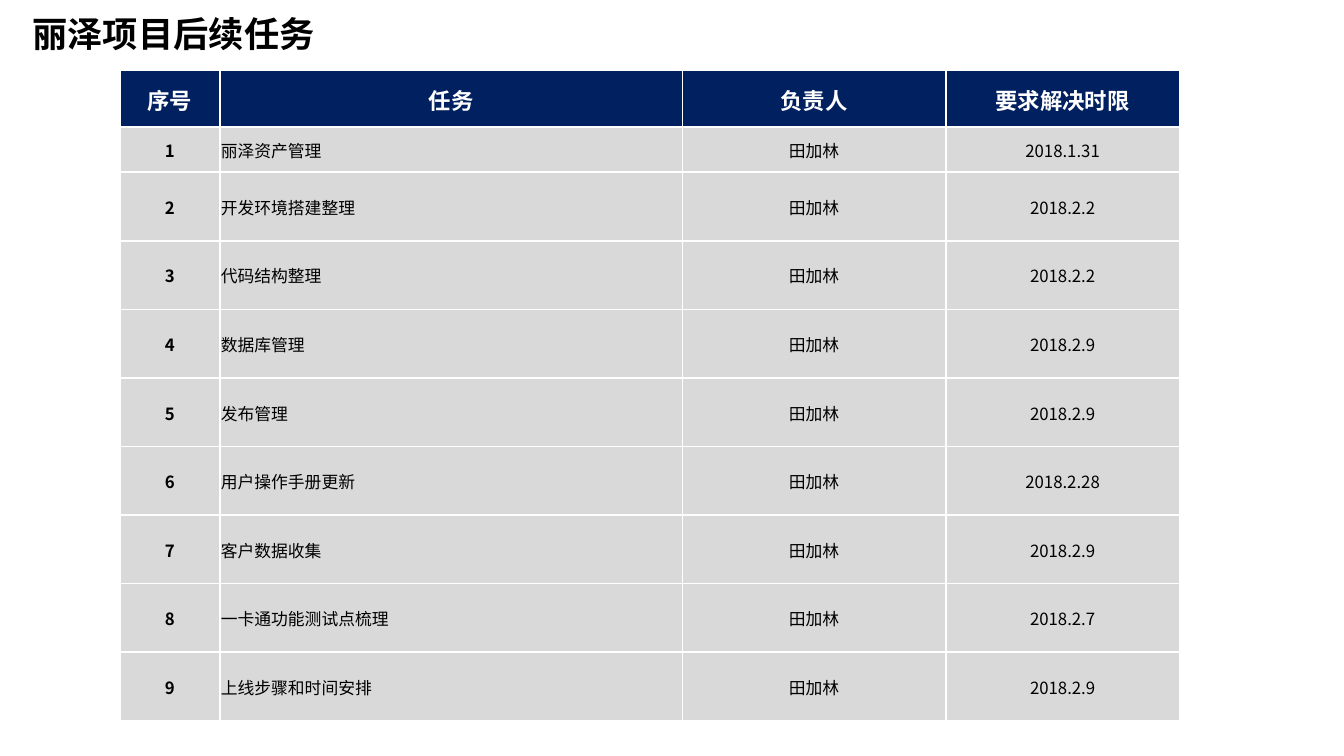
"""Build the slide that lists the follow-up tasks of the Lize project."""
from lxml.etree import SubElement
from pptx import Presentation
from pptx.dml.color import RGBColor
from pptx.enum.text import MSO_ANCHOR as Anchor, MSO_AUTO_SIZE as AutoSize, PP_ALIGN as Align
from pptx.oxml.ns import qn
from pptx.util import Inches, Pt

FONT = "Noto Sans CJK SC"
NAVY, GRAY, WHITE, BLACK = "002060", "D9D9D9", "FFFFFF", "000000"


def color(value):
    return RGBColor.from_string(value)


def write(frame, text, size=12, fill=BLACK, bold=False, align=Align.CENTER, spacing=None):
    paragraph = frame.paragraphs[0]
    paragraph.alignment = align
    paragraph.line_spacing = spacing
    run = paragraph.add_run()
    run.text = text
    run.font.size = Pt(size)
    run.font.bold = bold
    run.font.color.rgb = color(fill)
    run.font.name = FONT
    SubElement(run.font._element, qn("a:ea"), typeface=FONT)


presentation = Presentation()
presentation.slide_width = Inches(13.33)
presentation.slide_height = Inches(7.5)
slide = presentation.slides.add_slide(presentation.slide_layouts[5])
slide.background.fill.solid()
slide.background.fill.fore_color.rgb = color(WHITE)

title = slide.shapes.title
title.left, title.top = Inches(0.22), Inches(0.18)
title.width, title.height = Inches(12.19), Inches(0.36)
title.text_frame.auto_size = AutoSize.NONE
title.text_frame.vertical_anchor = Anchor.MIDDLE
write(title.text_frame, "丽泽项目后续任务", size=25.2, bold=True, align=Align.LEFT, spacing=0.9)

headers = ["序号", "任务", "负责人", "要求解决时限"]
owner = "田加林"
tasks = [
    ("丽泽资产管理", "2018.1.31"),
    ("开发环境搭建整理", "2018.2.2"),
    ("代码结构整理", "2018.2.2"),
    ("数据库管理", "2018.2.9"),
    ("发布管理", "2018.2.9"),
    ("用户操作手册更新", "2018.2.28"),
    ("客户数据收集", "2018.2.9"),
    ("一卡通功能测试点梳理", "2018.2.7"),
    ("上线步骤和时间安排", "2018.2.9"),
]
rows = [headers] + [[str(number), task, owner, deadline]
                    for number, (task, deadline) in enumerate(tasks, 1)]
column_widths = [0.99, 4.59, 2.61, 2.32]
row_heights = [0.56, 0.45] + [0.68] * (len(tasks) - 1)

table = slide.shapes.add_table(len(rows), len(headers), Inches(1.19), Inches(0.7),
                               Inches(sum(column_widths)), Inches(sum(row_heights))).table
for column, width in zip(table.columns, column_widths):
    column.width = Inches(width)
for row, height in zip(table.rows, row_heights):
    row.height = Inches(height)

for row_index, row_texts in enumerate(rows):
    is_header = row_index == 0
    for column_index, text in enumerate(row_texts):
        cell = table.cell(row_index, column_index)
        cell.margin_left = cell.margin_right = cell.margin_top = Inches(0.01)
        cell.margin_bottom = 0
        cell.vertical_anchor = Anchor.MIDDLE
        for side in ("a:lnL", "a:lnR", "a:lnT", "a:lnB"):
            border = SubElement(cell._tc.get_or_add_tcPr(), qn(side), w=str(Pt(1.5)))
            SubElement(SubElement(border, qn("a:solidFill")), qn("a:srgbClr"), val=WHITE)
        cell.fill.solid()
        cell.fill.fore_color.rgb = color(NAVY if is_header else GRAY)
        write(cell.text_frame, text,
              size=16 if is_header else 12,
              fill=WHITE if is_header else BLACK,
              bold=is_header or column_index == 0,
              align=Align.LEFT if column_index == 1 and not is_header else Align.CENTER)

presentation.save("out.pptx")
